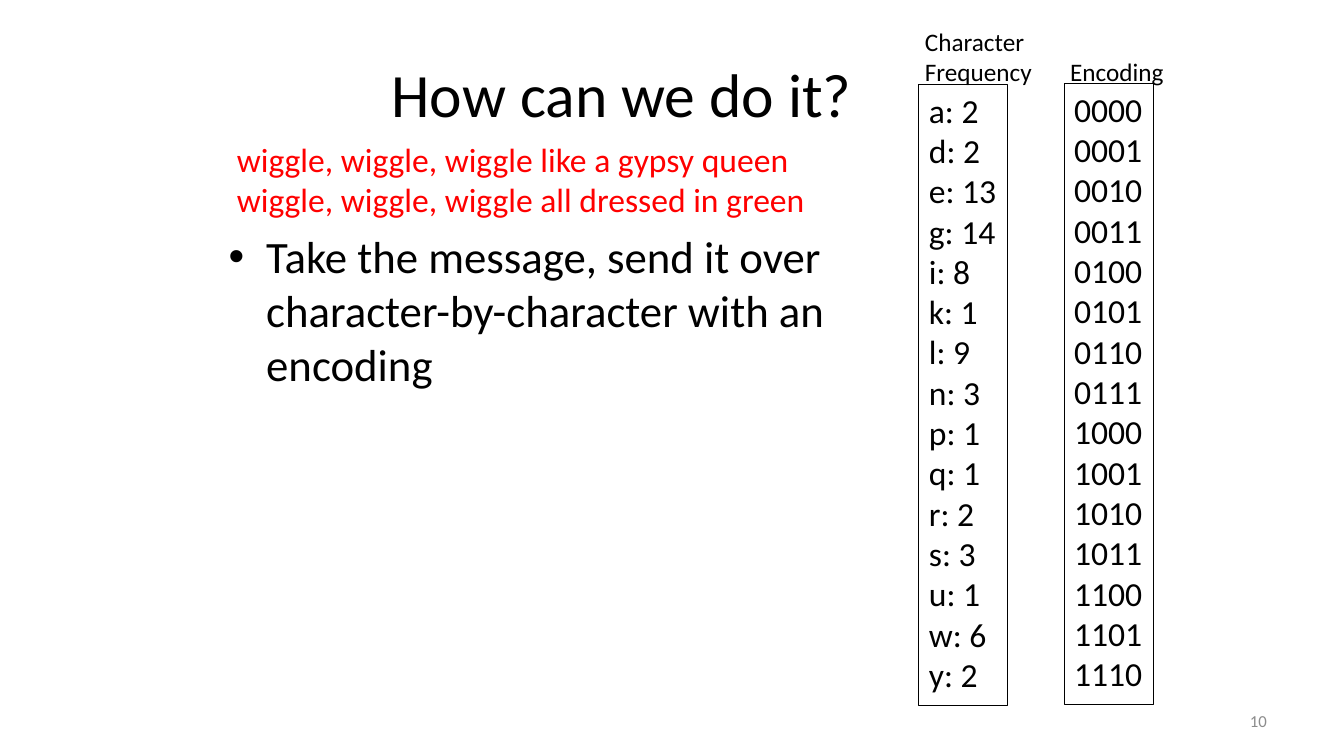
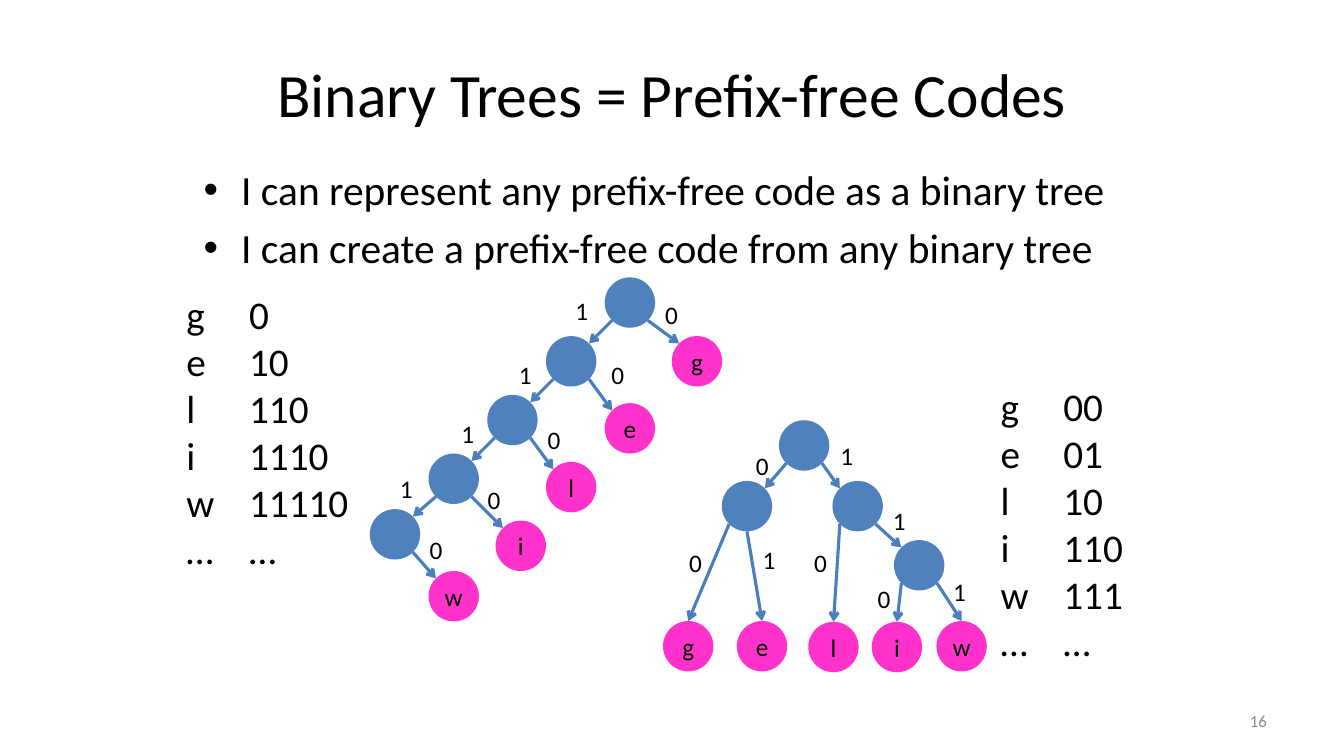
from dataclasses import dataclass
from math import sqrt

from lxml.etree import SubElement
from pptx import Presentation
from pptx.dml.color import RGBColor as RGB
from pptx.enum.shapes import MSO_CONNECTOR as CONN, MSO_SHAPE as SHAPE
from pptx.enum.text import MSO_ANCHOR as ANCHOR, MSO_AUTO_SIZE as AUTO, PP_ALIGN as ALIGN
from pptx.oxml.ns import qn
from pptx.util import Cm, Pt


@dataclass(frozen=True)
class Theme:
    font: str = "Calibri"
    ink: RGB = RGB(0x00, 0x00, 0x00)
    accent: RGB = RGB(0xFF, 0x00, 0x00)
    muted: RGB = RGB(0x8C, 0x8C, 0x8C)
    inner: RGB = RGB(0x4F, 0x81, 0xBD)
    leaf: RGB = RGB(0xFF, 0x33, 0xCC)
    edge: RGB = RGB(0x4B, 0x7E, 0xBC)
    title: float = 44
    body: float = 32
    body_small: float = 29.6
    code: float = 28
    list: float = 24
    label: float = 18
    number: float = 12


T = Theme()
NODE = 1.27  # node diameter, cm

# Directions from a node's centre to its connection sites
DIAG = 1 / sqrt(2)
SITES = {"N": (0, -1), "S": (0, 1), "NE": (DIAG, -DIAG), "NW": (-DIAG, -DIAG),
         "SE": (DIAG, DIAG), "SW": (-DIAG, DIAG)}

FREQUENCIES = {"a": 2, "d": 2, "e": 13, "g": 14, "i": 8, "k": 1, "l": 9, "n": 3,
               "p": 1, "q": 1, "r": 2, "s": 3, "u": 1, "w": 6, "y": 2}

# Nodes: name -> left, top; one-letter names are leaves
# Edges: parent, child, bit, label left, label top, start site, end site
CHAIN_NODES = {
    "root": (15.24, 6.99), "node1": (13.76, 8.47), "node2": (12.28, 9.95),
    "node3": (10.8, 11.43), "node4": (9.32, 12.83),
    "g": (16.93, 8.47), "e": (15.24, 10.16), "l": (13.76, 11.64),
    "i": (12.49, 13.12), "w": (10.8, 14.39),
}
CHAIN_EDGES = [
    ("root", "node1", 1, 14.25, 7.32, "SW", "NE"),
    ("node1", "node2", 1, 12.83, 8.94, "SW", "NE"),
    ("node2", "node3", 1, 11.38, 10.41, "SW", "NE"),
    ("node3", "node4", 1, 9.83, 11.79, "SW", "NE"),
    ("root", "g", 0, 16.51, 7.42, "SE", "NW"),
    ("node1", "e", 0, 15.16, 8.92, "SE", "NW"),
    ("node2", "l", 0, 13.55, 10.58, "SE", "NW"),
    ("node3", "i", 0, 12.04, 12.09, "SE", "NW"),
    ("node4", "w", 0, 10.58, 13.34, "SE", "NW"),
]
BUSHY_NODES = {
    "root": (19.63, 10.59), "left": (18.19, 12.12), "right": (20.98, 12.12),
    "far right": (22.53, 13.61),
    "g": (16.71, 15.65), "e": (18.57, 15.65), "l": (20.37, 15.67),
    "i": (21.97, 15.67), "w": (23.6, 15.65),
}
BUSHY_EDGES = [
    ("root", "left", 0, 18.8, 11.23, "SW", "NE"),
    ("root", "right", 1, 20.93, 10.97, "SE", "NW"),
    ("right", "far right", 1, 22.25, 12.62, "SE", "NW"),
    ("left", "g", 0, 17.12, 13.67, "SW", "N"),
    ("left", "e", 1, 18.97, 13.59, "S", "N"),
    ("right", "l", 0, 20.27, 13.67, "SW", "N"),
    ("far right", "i", 0, 21.87, 14.58, "SW", "N"),
    ("far right", "w", 1, 23.77, 14.4, "SE", "N"),
]


# Text
def add_bullet(p):
    pPr = p._p.get_or_add_pPr()
    pPr.set("marL", str(Cm(0.95)))
    pPr.set("indent", str(-Cm(0.95)))
    SubElement(pPr, qn("a:buFont")).set("typeface", "Arial")
    SubElement(pPr, qn("a:buChar")).set("char", "•")


def write(tf, lines, *, size, color=T.ink, align=ALIGN.LEFT, anchor=ANCHOR.TOP,
          wrap=True, grow=False, bullet=False, space=0):
    """Fill a text frame with one paragraph per line."""
    tf.word_wrap = wrap
    tf.auto_size = AUTO.SHAPE_TO_FIT_TEXT if grow else AUTO.NONE
    tf.vertical_anchor = anchor
    for i, line in enumerate(lines):
        p = tf.add_paragraph() if i else tf.paragraphs[0]
        if i and space:
            p.space_before = Pt(space)
        if bullet:
            add_bullet(p)
        p.alignment = align
        p.text = line
        for r in p.runs:
            r.font.name, r.font.size, r.font.color.rgb = T.font, Pt(size), color


def add_text(s, box, *lines, **fmt):
    sp = s.shapes.add_textbox(*map(Cm, box))
    write(sp.text_frame, lines, **fmt)
    return sp


def add_bullets(s, box, *lines, size):
    add_text(s, box, *lines, size=size, bullet=True, space=size / 5)


def add_column(s, box, lines, size, outlined=False):
    sp = add_text(s, box, *lines, size=size, wrap=False, grow=True)
    if outlined:
        sp.line.color.rgb = T.ink
        sp.line.width = Pt(0.75)


# Tree parts
def add_node(s, name, left, top):
    is_leaf = len(name) == 1
    sp = s.shapes.add_shape(SHAPE.OVAL, Cm(left), Cm(top), Cm(NODE), Cm(NODE))
    sp.shadow.inherit = False
    sp.fill.solid()
    sp.fill.fore_color.rgb = T.leaf if is_leaf else T.inner
    sp.line.fill.background()
    if is_leaf:
        tf = sp.text_frame
        tf.margin_left = tf.margin_right = tf.margin_top = tf.margin_bottom = 0
        write(tf, [name], size=T.label, align=ALIGN.CENTER, anchor=ANCHOR.MIDDLE)


def site_point(corner, site):
    return [Cm(c + NODE / 2 * (1 + d)) for c, d in zip(corner, SITES[site])]


def add_arrow(s, start, end):
    cx = s.shapes.add_connector(CONN.STRAIGHT, *start, *end)
    cx.line.color.rgb = T.edge
    cx.line.width = Pt(2.25)
    SubElement(cx.line._get_or_add_ln(), qn("a:tailEnd")).set("type", "arrow")
    SubElement(cx._element.spPr, qn("a:effectLst"))


def add_tree(s, nodes, edges):
    for name, corner in nodes.items():
        add_node(s, name, *corner)
    for parent, child, bit, left, top, start, end in edges:
        add_arrow(s, site_point(nodes[parent], start), site_point(nodes[child], end))
        add_text(s, (left, top, 0.84, 1.02), str(bit), size=T.label, wrap=False, grow=True)


def add_code(s, left, top, width, codes):
    """Letters in one column, their codes in the next."""
    add_column(s, (left, top, 1.22, 7.44), [*"geliw…"], T.code)
    add_column(s, (left + 1.58, top, width, 7.44), [*codes, "…"], T.code)


# Slides
def new_slide(prs, title, number, left, width):
    s = prs.slides.add_slide(prs.slide_layouts[6])
    add_text(s, (left, 0.76, width, 3.18), title, size=T.title,
             align=ALIGN.CENTER, anchor=ANCHOR.MIDDLE)
    add_text(s, (24.28, 17.65, 7.9, 1.02), str(number), size=T.number, color=T.muted,
             align=ALIGN.RIGHT, anchor=ANCHOR.MIDDLE)
    return s


def encoding_slide(prs):
    s = new_slide(prs, "How can we do it?", 10, 4.24, 22.86)
    add_bullets(s, (5.51, 5.64, 15.88, 12.57),
                "Take the message, send it over character-by-character with an encoding",
                size=T.body)
    add_text(s, (5.72, 3.38, 15.11, 2.31),
             "wiggle, wiggle, wiggle like a gypsy queen\v"
             "wiggle, wiggle, wiggle all dressed in green",
             size=T.list, color=T.accent, wrap=False, grow=True)
    columns = [
        (23.16, 2.13, [f"{c}: {n}" for c, n in FREQUENCIES.items()]),
        (26.82, 2.11, [f"{i:04b}" for i in range(len(FREQUENCIES))]),
    ]
    for left, top, lines in columns:
        add_column(s, (left, top, 2.24, 15.65), lines, T.list, outlined=True)
    add_text(s, (23.06, 0.53, 4.01, 1.8), "Character Frequency", size=T.label, grow=True)
    add_text(s, (26.72, 1.3, 3.33, 1.02), "Encoding", size=T.label, grow=True)


def tree_slide(prs):
    s = new_slide(prs, "Binary Trees = Prefix-free Codes", 16, 1.7, 30.48)
    add_bullets(s, (4.88, 4.01, 23.93, 3.61),
                "I can represent any prefix-free code as a binary tree",
                "I can create a prefix-free code from any binary tree",
                size=T.body_small)
    add_code(s, 4.45, 7.19, 3.05, ["1" * i + "0" for i in range(5)])
    add_tree(s, CHAIN_NODES, CHAIN_EDGES)
    add_tree(s, BUSHY_NODES, BUSHY_EDGES)
    add_code(s, 24.97, 9.5, 2.03, ["00", "01", "10", "110", "111"])


def main():
    prs = Presentation()
    prs.slide_width, prs.slide_height = Cm(33.87), Cm(19.05)
    encoding_slide(prs)
    tree_slide(prs)
    prs.save("out.pptx")


if __name__ == "__main__":
    main()
